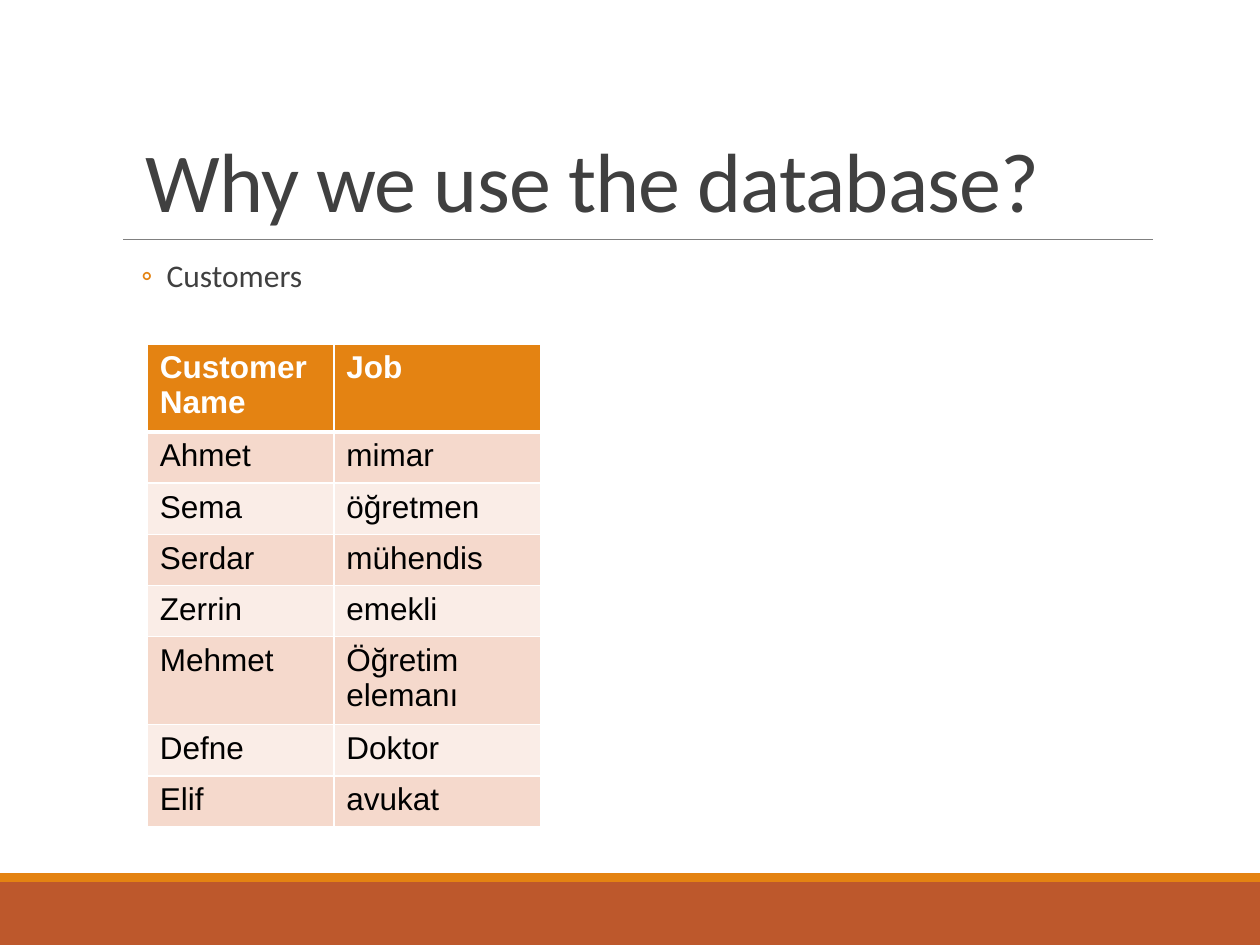
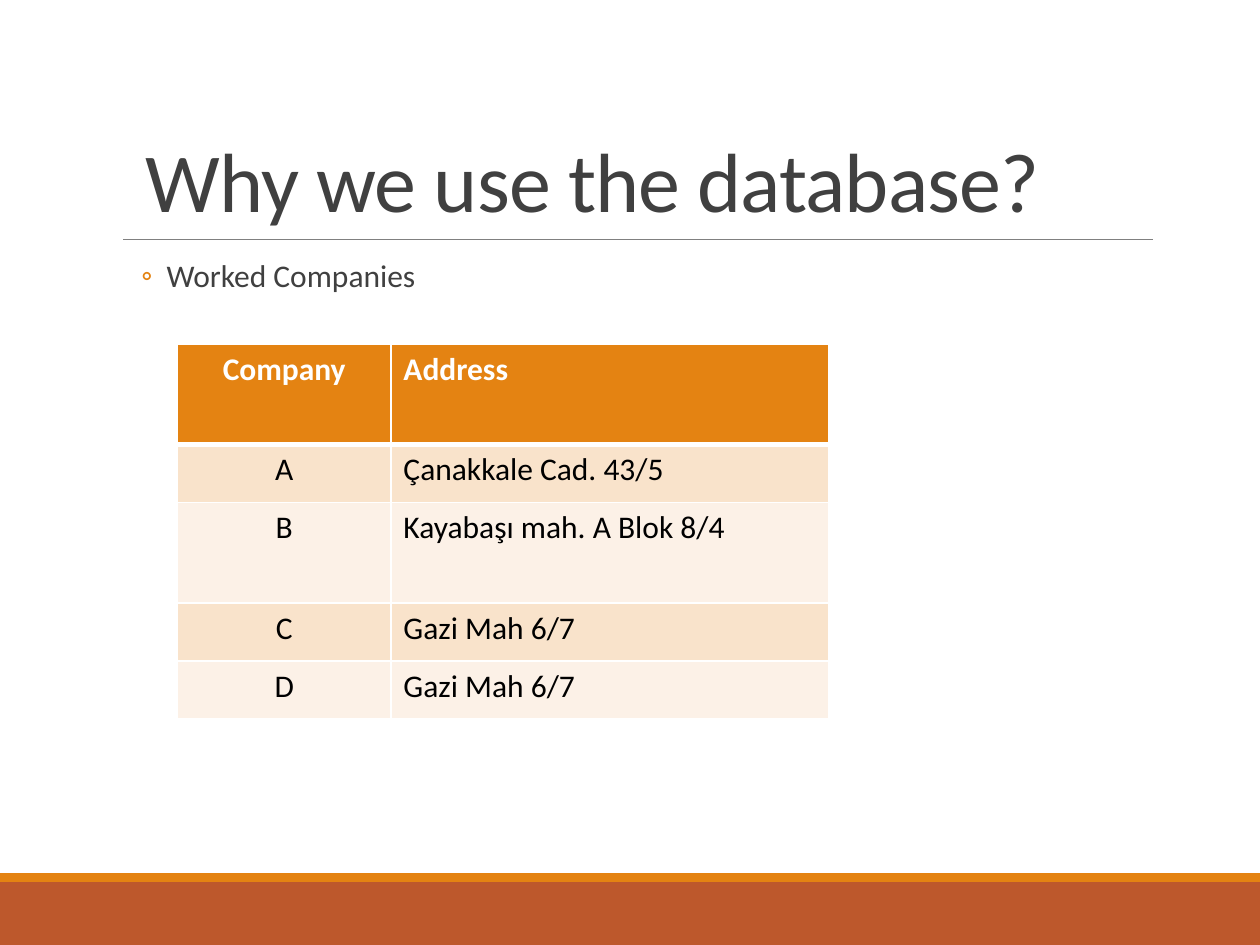
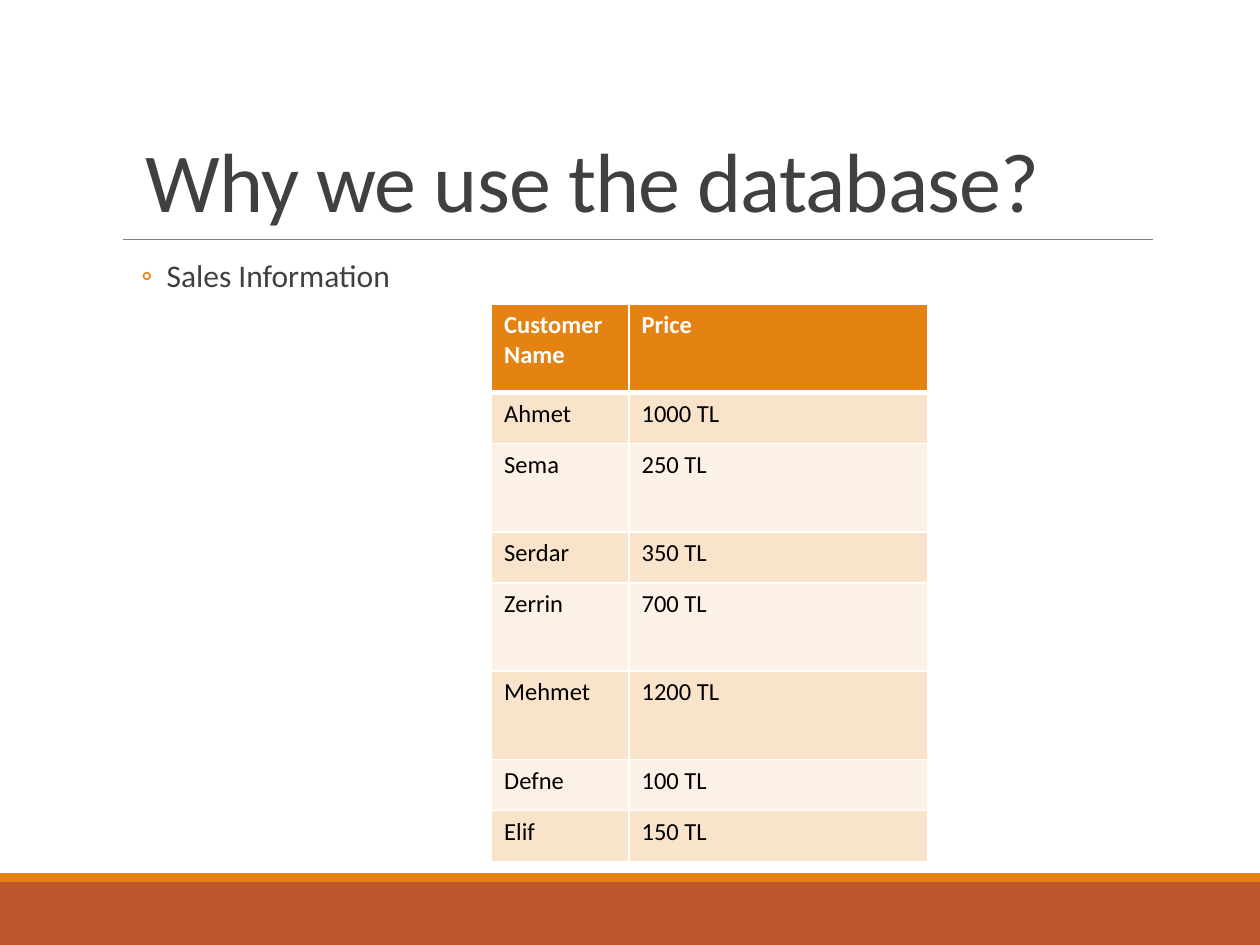
from lxml.etree import SubElement
from pptx import Presentation
from pptx.dml.color import RGBColor
from pptx.enum.shapes import MSO_CONNECTOR, MSO_SHAPE
from pptx.enum.text import MSO_ANCHOR, PP_ALIGN
from pptx.oxml.ns import qn
from pptx.util import Cm, Pt

ORANGE = RGBColor(0xE4, 0x83, 0x12)
RUST = RGBColor(0xBD, 0x58, 0x2C)
GRAY = RGBColor(0x80, 0x80, 0x80)
DARK = RGBColor(0x40, 0x40, 0x40)
WHITE = RGBColor(0xFF, 0xFF, 0xFF)
BLACK = RGBColor(0x00, 0x00, 0x00)
PINK_BANDS = (RGBColor(0xF5, 0xD9, 0xCC), RGBColor(0xFA, 0xED, 0xE7))
CREAM_BANDS = (RGBColor(0xF9, 0xE3, 0xCB), RGBColor(0xFC, 0xF1, 0xE7))

TITLE = "Why we use the database?"
BODY_FONT = "Calibri"
SLIDE_WIDTH, SLIDE_HEIGHT = 25.4, 19.05
FOOTER_TOP, ACCENT_HEIGHT = 17.78, 0.18

# Lengths are in centimetres, font sizes in points.
SLIDES = [
    {
        "topic": "Customers",
        "rows": [("Customer Name", "Job"), ("Ahmet", "mimar"), ("Sema", "öğretmen"),
                 ("Serdar", "mühendis"), ("Zerrin", "emekli"),
                 ("Mehmet", "Öğretim elemanı"), ("Defne", "Doktor"), ("Elif", "avukat")],
        "position": (2.97, 6.93), "widths": (3.76, 4.17),
        "heights": (1.03, 1.78), "tall_rows": (0, 5),
        "font": ("Arial", 18), "bands": PINK_BANDS,
        "first_column": PP_ALIGN.LEFT,
    },
    {
        "topic": "Worked Companies",
        "rows": [("Company", "Address"), ("A", "Çanakkale Cad. 43/5"),
                 ("B", "Kayabaşı mah. A Blok 8/4"), ("C", "Gazi Mah 6/7"),
                 ("D", "Gazi Mah 6/7")],
        "position": (3.58, 6.93), "widths": (4.3, 8.82),
        "heights": (1.17, 2.03), "tall_rows": (0, 2),
        "font": (BODY_FONT, 18), "bands": CREAM_BANDS,
        "first_column": PP_ALIGN.CENTER,
    },
    {
        "topic": "Sales Information",
        "rows": [("Customer Name", "Price"), ("Ahmet", "1000 TL"), ("Sema", "250 TL"),
                 ("Serdar", "350 TL"), ("Zerrin", "700 TL"), ("Mehmet", "1200 TL"),
                 ("Defne", "100 TL"), ("Elif", "150 TL")],
        "position": (9.91, 6.13), "widths": (2.77, 6.02),
        "heights": (1.03, 1.78), "tall_rows": (0, 2, 4, 5),
        "font": (BODY_FONT, 14), "bands": CREAM_BANDS,
        "first_column": PP_ALIGN.LEFT,
    },
]


def format_text(paragraph, font_name, size, color, bold=False):
    for run in paragraph.runs:
        font = run.font
        font.name, font.size, font.bold = font_name, Pt(size), bold
        font.color.rgb = color


def add_band(slide, top, height, color):
    band = slide.shapes.add_shape(
        MSO_SHAPE.RECTANGLE, 0, Cm(top), Cm(SLIDE_WIDTH), Cm(height))
    band.shadow.inherit = False
    band.fill.solid()
    band.fill.fore_color.rgb = color
    band.line.fill.background()


def add_frame(slide):
    """Draw the footer bands and the rule under the title."""
    add_band(slide, FOOTER_TOP, SLIDE_HEIGHT - FOOTER_TOP, RUST)
    add_band(slide, FOOTER_TOP - ACCENT_HEIGHT, ACCENT_HEIGHT, ORANGE)
    rule = slide.shapes.add_connector(
        MSO_CONNECTOR.STRAIGHT, Cm(2.48), Cm(4.83), Cm(23.24), Cm(4.83))
    rule.line.color.rgb = GRAY
    rule.line.width = Pt(0.5)
    SubElement(rule._element.spPr, qn("a:effectLst"))


def add_text(slide, text, box, size, line_spacing):
    text_frame = slide.shapes.add_textbox(*map(Cm, box)).text_frame
    text_frame.word_wrap = True
    text_frame.text = text
    paragraph = text_frame.paragraphs[0]
    paragraph.line_spacing = line_spacing
    format_text(paragraph, BODY_FONT, size, DARK)
    return text_frame


def add_title(slide):
    text_frame = add_text(slide, TITLE, (2.69, 0.71, 20.96, 4.04), 48, 0.85)
    text_frame.vertical_anchor = MSO_ANCHOR.BOTTOM
    run = text_frame.paragraphs[0].runs[0]
    run._r.get_or_add_rPr().set("spc", "-50")


def add_topic(slide, topic):
    text_frame = add_text(slide, topic, (2.29, 5.13, 20.96, 11.18), 18, 0.9)
    text_frame.margin_left = text_frame.margin_right = 0
    paragraph = text_frame.paragraphs[0]
    paragraph.space_before, paragraph.space_after = Pt(2), Pt(4)
    properties = paragraph._p.get_or_add_pPr()
    properties.set("marL", str(Cm(1.07)))
    properties.set("indent", str(Cm(-0.51)))
    bullet_color = SubElement(properties, qn("a:buClr"))
    SubElement(bullet_color, qn("a:srgbClr"), val=str(ORANGE))
    SubElement(properties, qn("a:buFont"), typeface=BODY_FONT)
    SubElement(properties, qn("a:buChar"), char="◦")


def set_borders(cell, top, bottom):
    """Give the cell white borders; must run before the cell is filled."""
    properties = cell._tc.get_or_add_tcPr()
    for side, width in (("L", 1), ("R", 1), ("T", top), ("B", bottom)):
        border = SubElement(properties, qn(f"a:ln{side}"), w=str(Pt(width)))
        fill = SubElement(border, qn("a:solidFill"))
        SubElement(fill, qn("a:srgbClr"), val=str(WHITE))


def add_data_table(slide, content):
    rows, widths = content["rows"], content["widths"]
    normal, tall = content["heights"]
    heights = [tall if index in content["tall_rows"] else normal
               for index in range(len(rows))]
    left, top = content["position"]
    table = slide.shapes.add_table(
        len(rows), len(widths), Cm(left), Cm(top),
        Cm(sum(widths)), Cm(sum(heights))).table
    for column, width in zip(table.columns, widths):
        column.width = Cm(width)
    for row_index, values in enumerate(rows):
        table.rows[row_index].height = Cm(heights[row_index])
        is_header = row_index == 0
        fill_color = ORANGE if is_header else content["bands"][(row_index - 1) % 2]
        for column_index, value in enumerate(values):
            cell = table.cell(row_index, column_index)
            set_borders(cell, 3 if row_index == 1 else 1, 3 if is_header else 1)
            cell.fill.solid()
            cell.fill.fore_color.rgb = fill_color
            cell.text_frame.text = value
            paragraph = cell.text_frame.paragraphs[0]
            if column_index == 0:
                paragraph.alignment = content["first_column"]
            format_text(paragraph, *content["font"],
                        WHITE if is_header else BLACK, is_header)


def main():
    presentation = Presentation()
    presentation.slide_width = Cm(SLIDE_WIDTH)
    presentation.slide_height = Cm(SLIDE_HEIGHT)
    blank_layout = presentation.slide_layouts[6]
    for content in SLIDES:
        slide = presentation.slides.add_slide(blank_layout)
        add_frame(slide)
        add_topic(slide, content["topic"])
        add_title(slide)
        add_data_table(slide, content)
    presentation.save("out.pptx")


if __name__ == "__main__":
    main()
